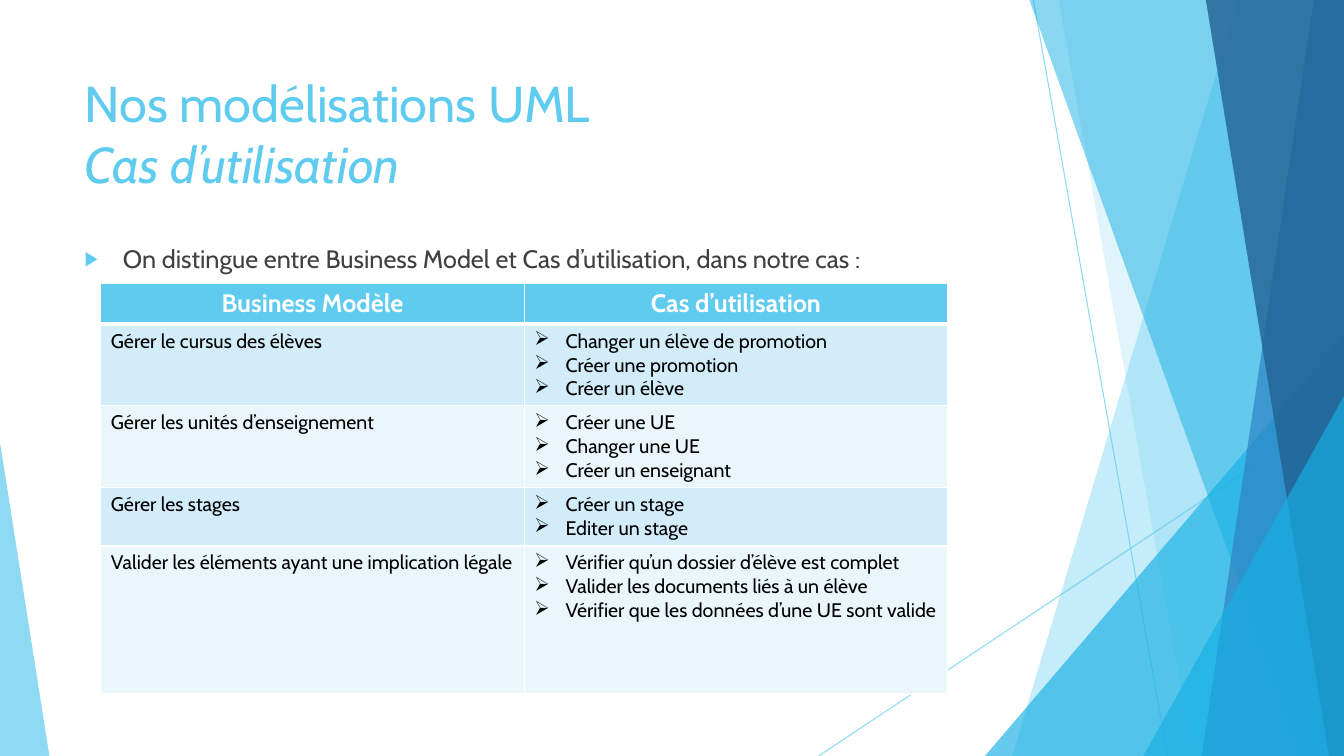
from lxml.etree import SubElement
from pptx import Presentation
from pptx.dml.color import RGBColor
from pptx.enum.shapes import MSO_CONNECTOR, MSO_SHAPE
from pptx.enum.text import MSO_ANCHOR, MSO_AUTO_SIZE, PP_ALIGN
from pptx.oxml.ns import qn
from pptx.util import Inches, Pt

SKY = RGBColor(0x5F, 0xCB, 0xEF)
CYAN = RGBColor(0x17, 0xB0, 0xE4)
BLUE = RGBColor(0x2E, 0x83, 0xC3)
NAVY = RGBColor(0x22, 0x62, 0x92)
GREY = RGBColor(0x40, 0x40, 0x40)
BLACK = RGBColor(0, 0, 0)
WHITE = RGBColor(0xFF, 0xFF, 0xFF)
BANDS = RGBColor(0xD2, 0xEC, 0xF9), RGBColor(0xEA, 0xF6, 0xFC)
FONT = "Cabin"

TITLE = "Nos modélisations UML", "Cas d’utilisation"
INTRO = "On distingue entre Business Model et Cas d’utilisation, dans notre cas :"
HEADINGS = "Business Modèle", "Cas d’utilisation"
USE_CASES = [
    ("Gérer le cursus des élèves",
     ["Changer un élève de promotion", "Créer une promotion", "Créer un élève"]),
    ("Gérer les unités d’enseignement",
     ["Créer une UE", "Changer une UE", "Créer un enseignant"]),
    ("Gérer les stages", ["Créer un stage", "Editer un stage"]),
    ("Valider les éléments ayant une implication légale",
     ["Vérifier qu’un dossier d’élève est complet",
      "Valider les documents liés à un élève",
      "Vérifier que les données d’une UE sont valide"]),
]

# Positions are percentages of the slide's width and height.
TITLE_BOX = 5.55, 8.93, 70.52, 19.2
BODY_BOX = 5.55, 31.47, 70.52, 56.53
TABLE_BOX = 7.5, 37.47, 63.02, 54.13
ROW_HEIGHTS = 5.2, 10.8, 10.8, 7.73, 19.6
RAYS = [(76.89, 0, 86.87, 100), (100, 53.73, 60.92, 100)]
# Bands touch the right edge: top left x, bottom left x, colour, opacity.
# Triangles: left, top, width, apex position, colour, opacity.
FACETS = [
    ("band", 92.12, 75.32, SKY, 36),
    ("band", 78.77, 88.75, SKY, 20),
    ("triangle", 73.29, 44.4, 26.71, 1, CYAN, 66),
    ("band", 76.59, 96.85, CYAN, 50),
    ("band", 97.75, 89.42, BLUE, 70),
    ("band", 89.72, 98.87, NAVY, 80),
    ("triangle", 85.07, 52.4, 14.93, 1, CYAN, 66),
    ("triangle", 0, 58.53, 3.68, 0, SKY, 70),
]

presentation = Presentation()
presentation.slide_width, presentation.slide_height = Inches(13.33), Inches(7.5)
slide = presentation.slides.add_slide(presentation.slide_layouts[1])


def across(share):
    return round(presentation.slide_width * share / 100)


def down(share):
    return round(presentation.slide_height * share / 100)


def place(box):
    left, top, width, height = box
    return across(left), down(top), across(width), down(height)


def set_opacity(shape, percent):
    for color in shape.element.spPr.iter(qn("a:srgbClr")):
        SubElement(color, qn("a:alpha")).set("val", str(percent * 1000))


def draw_ray(x1, y1, x2, y2):
    ray = slide.shapes.add_connector(
        MSO_CONNECTOR.STRAIGHT, across(x1), down(y1), across(x2), down(y2))
    ray.line.color.rgb = SKY
    ray.line.width = Pt(0.75)
    set_opacity(ray, 70)
    SubElement(ray.element.spPr, qn("a:effectLst"))


def draw_facet(kind, *measures):
    *geometry, color, opacity = measures
    if kind == "band":
        top_x, bottom_x = geometry
        outline = slide.shapes.build_freeform(across(top_x), 0)
        outline.add_line_segments(
            [(across(x), down(y)) for x, y in ((100, 0), (100, 100), (bottom_x, 100))])
        facet = outline.convert_to_shape()
    else:
        left, top, width, apex = geometry
        facet = slide.shapes.add_shape(
            MSO_SHAPE.ISOSCELES_TRIANGLE, *place((left, top, width, 100 - top)))
        facet.adjustments[0] = apex
    facet.shadow.inherit = False
    facet.fill.solid()
    facet.fill.fore_color.rgb = color
    facet.line.fill.background()
    set_opacity(facet, opacity)


def format_runs(paragraph, size, color, bold=False):
    for run in paragraph.runs:
        run.font.name, run.font.size, run.font.bold = FONT, Pt(size), bold
        run.font.color.rgb = color


def add_bullet(paragraph, character, indent, color=None, size=100):
    properties = paragraph._p.get_or_add_pPr()
    properties.set("marL", str(Inches(indent)))
    properties.set("indent", str(-Inches(indent)))
    if color is not None:
        holder = SubElement(properties, qn("a:buClr"))
        SubElement(holder, qn("a:srgbClr")).set("val", str(color))
    SubElement(properties, qn("a:buSzPct")).set("val", str(size * 1000))
    SubElement(properties, qn("a:buChar")).set("char", character)


def move_placeholder(placeholder, box):
    """Position a placeholder and bring it in front of the facets."""
    placeholder.left, placeholder.top, placeholder.width, placeholder.height = place(box)
    placeholder.element.getparent().append(placeholder.element)
    frame = placeholder.text_frame
    frame.word_wrap = True
    frame.auto_size = MSO_AUTO_SIZE.NONE
    frame.vertical_anchor = MSO_ANCHOR.TOP
    return frame


def paint_cell(cell, color, bottom_width=1):
    properties = cell._tc.get_or_add_tcPr()
    for side, width in (("L", 1), ("R", 1), ("T", 1), ("B", bottom_width)):
        border = SubElement(properties, qn(f"a:ln{side}"), w=str(Pt(width)))
        fill = SubElement(border, qn("a:solidFill"))
        SubElement(fill, qn("a:srgbClr")).set("val", str(WHITE))
    cell.fill.solid()
    cell.fill.fore_color.rgb = color


for ray in RAYS:
    draw_ray(*ray)
for facet in FACETS:
    draw_facet(*facet)

title_frame = move_placeholder(slide.shapes.title, TITLE_BOX)
title_frame.text = "\v".join(TITLE)
heading = title_frame.paragraphs[0]
heading.alignment = PP_ALIGN.LEFT
format_runs(heading, 36, SKY)
heading.runs[-1].font.italic = True

body_frame = move_placeholder(slide.placeholders[1], BODY_BOX)
body_frame.text = INTRO
intro = body_frame.paragraphs[0]
intro.space_before = Pt(10)
add_bullet(intro, "▶", 0.38, SKY, 80)
format_runs(intro, 18, GREY)

table = slide.shapes.add_table(
    len(USE_CASES) + 1, len(HEADINGS), *place(TABLE_BOX)).table
table.horz_banding = False
for row, height in zip(table.rows, ROW_HEIGHTS):
    row.height = down(height)

for cell, text in zip(table.rows[0].cells, HEADINGS):
    cell.text = text
    paragraph = cell.text_frame.paragraphs[0]
    paragraph.alignment = PP_ALIGN.CENTER
    format_runs(paragraph, 18, WHITE, bold=True)
    paint_cell(cell, SKY, bottom_width=3)

for index, (model, cases) in enumerate(USE_CASES):
    model_cell, cases_cell = table.rows[index + 1].cells
    model_cell.text = model
    cases_cell.text = "\n".join(cases)
    for paragraph in cases_cell.text_frame.paragraphs:
        add_bullet(paragraph, "➢", 0.31)
    for cell in (model_cell, cases_cell):
        paint_cell(cell, BANDS[index % 2])
        for paragraph in cell.text_frame.paragraphs:
            format_runs(paragraph, 14, BLACK)

presentation.save("out.pptx")
